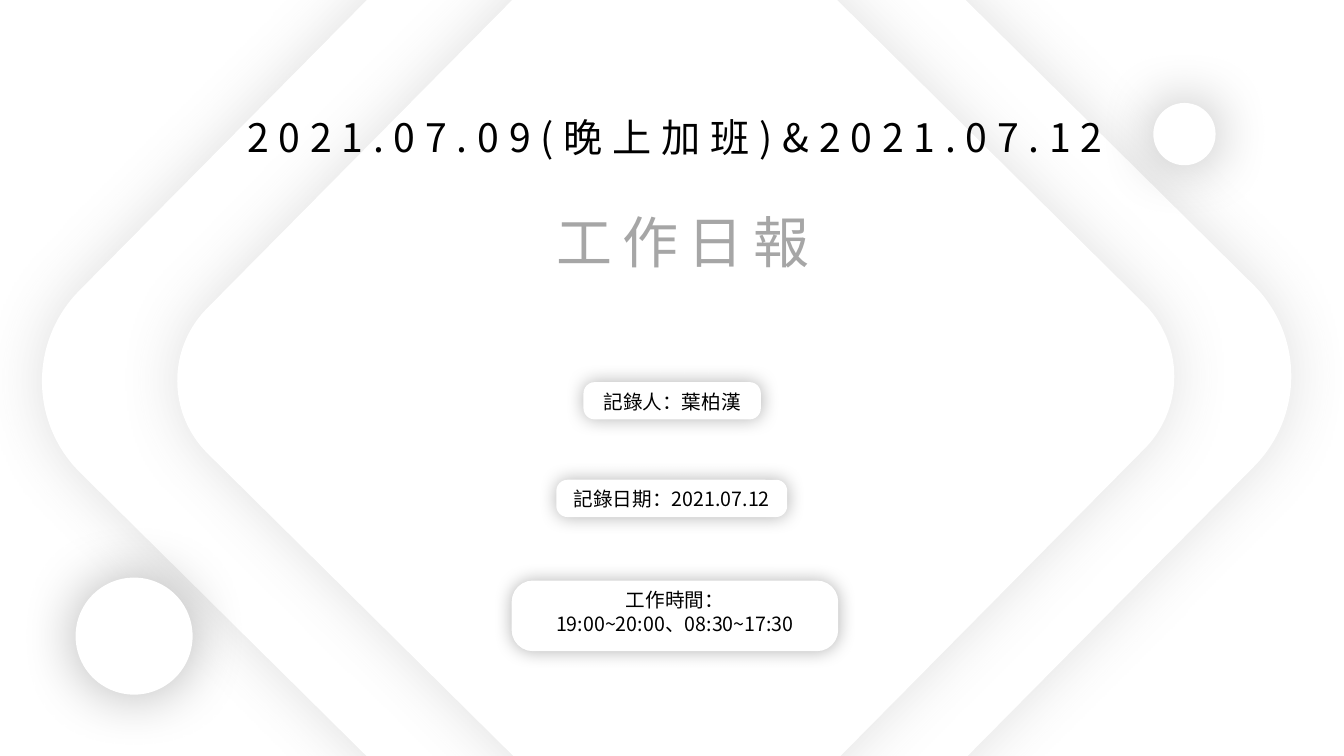
from dataclasses import dataclass

from lxml.etree import SubElement
from pptx import Presentation
from pptx.dml.color import RGBColor
from pptx.enum.shapes import MSO_SHAPE
from pptx.enum.text import MSO_AUTO_SIZE, PP_ALIGN
from pptx.oxml.ns import qn
from pptx.util import Cm, Pt


@dataclass(frozen=True)
class Theme:
    font: str = "Noto Sans CJK SC"
    white: str = "FFFFFF"
    ink: str = "000000"
    gray: str = "A6A6A6"
    haze: str = "595959"
    date: int = 28
    title: int = 40
    body: int = 14
    track: int = 7


THEME = Theme()

# Lengths in cm: centre x, centre y, side
DIAMONDS = [(16.8, 9.54, 24.16), (17.03, 9.54, 19.28)]
DISCS = [(3.38, 16.03, 2.95), (29.85, 3.38, 1.57)]
TILT = 44.7

# Text, left, top, width, height, size, colour
HEADS = [
    ("2021.07.09(晚上加班)&2021.07.12", 4.52, 2.72, 24.99, 1.45,
     THEME.date, THEME.ink),
    ("工作日報", 11.18, 5.11, 12.07, 1.96, THEME.title, THEME.gray),
]

# Lines, centre x, top, pill width and height, label width and height
PILLS = [
    (["記錄人：葉柏漢"], 16.94, 9.63, 4.47, 0.94, 5.31, 0.86),
    (["記錄日期：2021.07.12"], 16.93, 12.09, 5.82, 0.94, 6.12, 0.86),
    (["工作時間：", "19:00~20:00、08:30~17:30"],
     17.01, 14.63, 8.23, 1.78, 8.66, 1.45),
]
DROP = 0.06


def add_glow(shape, color, alpha, blur):
    """Give the shape an even soft shadow on all sides."""
    shape.shadow.inherit = False
    effects = shape._element.spPr.find(qn("a:effectLst"))
    outer = SubElement(effects, qn("a:outerShdw"), blurRad=str(Pt(blur)),
                       dist="0", dir="0", algn="ctr", rotWithShape="0")
    tint = SubElement(outer, qn("a:srgbClr"), val=color)
    SubElement(tint, qn("a:alpha"), val=str(alpha * 1000))


def add_panel(shapes, kind, box, color, alpha, blur, round_=None):
    """Add a white shape without outline that floats on its shadow."""
    shape = shapes.add_shape(kind, *map(Cm, box))
    shape.fill.solid()
    shape.fill.fore_color.rgb = RGBColor.from_string(THEME.white)
    shape.line.fill.background()
    if round_ is not None:
        shape.adjustments[0] = round_
    add_glow(shape, color, alpha, blur)
    return shape


def add_text(shapes, lines, box, size, color, track=0):
    frame = shapes.add_textbox(*map(Cm, box)).text_frame
    frame.word_wrap = True
    frame.auto_size = MSO_AUTO_SIZE.SHAPE_TO_FIT_TEXT
    frame.text = "\n".join(lines)
    for para in frame.paragraphs:
        para.alignment = PP_ALIGN.CENTER
        para.font.name = THEME.font
        para.font.size = Pt(size)
        para.font.color.rgb = RGBColor.from_string(color)
        props = para._p.pPr.find(qn("a:defRPr"))
        SubElement(props, qn("a:ea"), typeface=THEME.font)
        if track:
            props.set("spc", str(track * 100))


def square(x, y, side):
    return x - side / 2, y - side / 2, side, side


def main():
    deck = Presentation()
    deck.slide_width, deck.slide_height = Cm(33.87), Cm(19.05)
    slide = deck.slides.add_slide(deck.slide_layouts[6])
    shapes = slide.shapes

    for spot in DIAMONDS:
        panel = add_panel(shapes, MSO_SHAPE.ROUNDED_RECTANGLE, square(*spot),
                          THEME.haze, 19, 43, 0.134)
        panel.rotation = TILT
    for text, *box, size, color in HEADS:
        add_text(shapes, [text], box, size, color, THEME.track)
    for spot in DISCS:
        add_panel(shapes, MSO_SHAPE.OVAL, square(*spot), THEME.ink, 30, 43)
    for lines, mid, top, wide, high, span, tall in PILLS:
        group = shapes.add_group_shape().shapes
        add_panel(group, MSO_SHAPE.ROUNDED_RECTANGLE,
                  (mid - wide / 2, top, wide, high), THEME.ink, 30, 13, 0.302)
        add_text(group, lines, (mid - span / 2, top + DROP, span, tall),
                 THEME.body, THEME.ink)

    deck.save("out.pptx")


if __name__ == "__main__":
    main()
